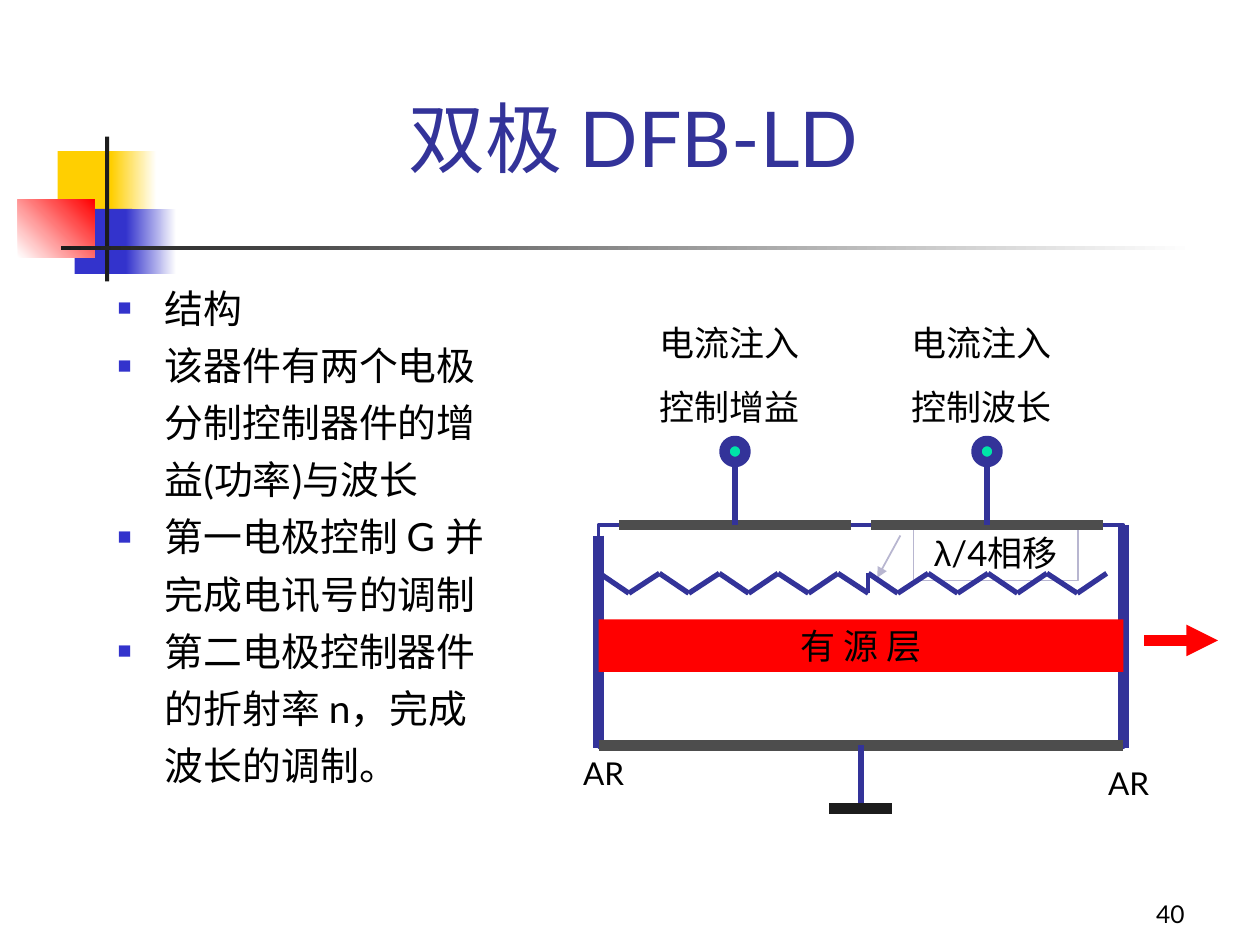
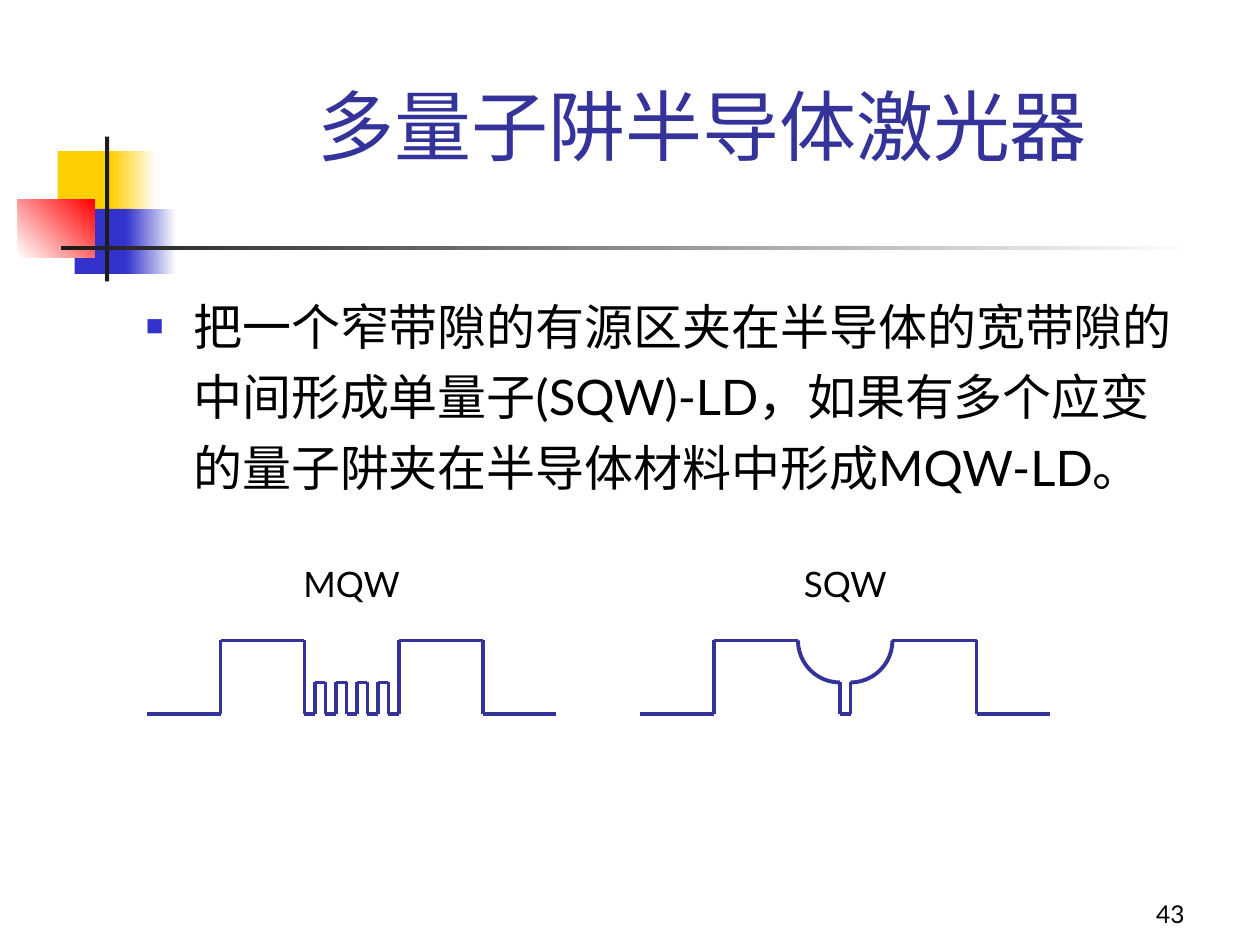
from lxml import etree
from pptx import Presentation
from pptx.dml.color import RGBColor
from pptx.enum.shapes import MSO_CONNECTOR, MSO_SHAPE
from pptx.enum.text import MSO_ANCHOR, MSO_AUTO_SIZE, PP_ALIGN
from pptx.oxml.ns import qn
from pptx.util import Pt

RECT, OVAL, ARC = MSO_SHAPE.RECTANGLE, MSO_SHAPE.OVAL, MSO_SHAPE.ARC
CALLOUT = MSO_SHAPE.LINE_CALLOUT_1
STRAIGHT = MSO_CONNECTOR.STRAIGHT
LEFT, CENTER, RIGHT = PP_ALIGN.LEFT, PP_ALIGN.CENTER, PP_ALIGN.RIGHT
TOP, BOTTOM = MSO_ANCHOR.TOP, MSO_ANCHOR.BOTTOM
NO_FIT = MSO_AUTO_SIZE.NONE

PX = 7620  # EMU per px, 120 px to the inch


class Theme:
    font, greek = "Lato", "Arial"
    title, label, facet, number = 44, 20, 18, 14
    ink, navy, blue = "000000", "333399", "3333CC"
    yellow, red, white = "FFCF01", "FF0000", "FFFFFF"
    dark, metal, callout, pin = "1C1C1C", "4D4D4D", "B8B6D0", "00E4A8"


def add_run(p, text, size, color=Theme.ink, font=Theme.font):
    r = p.add_run()
    r.text = text
    r.font.name = font
    r.font.size = Pt(size)
    r.font.color.rgb = RGBColor.from_string(color)


def add_line(s, x1, y1, x2, y2, width=2.25, color=Theme.navy):
    c = s.shapes.add_connector(STRAIGHT, x1 * PX, y1 * PX, x2 * PX, y2 * PX)
    c.line.width = Pt(width)
    c.line.color.rgb = RGBColor.from_string(color)
    etree.SubElement(c.element.spPr, qn("a:effectLst"))
    return c


prs = Presentation()
prs.slide_width, prs.slide_height = 1200 * PX, 900 * PX

# Title, list and page number of each slide; list rows are (bulleted, text)
pages = [
    dict(
        title="双极 DFB-LD", title_box=(367, 80, 473, 100), align=CENTER,
        body_box=(100, 265, 404, 540), size=22.2, before=6, spacing=1.0, number="40",
        rows=[
            (True, "结构"),
            (True, "该器件有两个电极"),
            (False, "分制控制器件的增"),
            (False, "益(功率)与波长"),
            (True, "第一电极控制 G 并"),
            (False, "完成电讯号的调制"),
            (True, "第二电极控制器件"),
            (False, "的折射率 n，完成"),
            (False, "波长的调制。"),
        ],
    ),
    dict(
        title="多量子阱半导体激光器", title_box=(290, 80, 760, 89), align=LEFT,
        body_box=(127, 265, 1020, 260), size=28, before=7, spacing=1.2, number="43",
        rows=[(True, "把一个窄带隙的有源区夹在半导体的宽带隙的中间形成单量子(SQW)-LD，"
                     "如果有多个应变的量子阱夹在半导体材料中形成MQW-LD。")],
    ),
]

for page in pages:
    s = prs.slides.add_slide(prs.slide_layouts[1])
    title, body = s.placeholders
    for sp, box in ((title, page["title_box"]), (body, page["body_box"])):
        sp.left, sp.top, sp.width, sp.height = (v * PX for v in box)
        sp.text_frame.auto_size = NO_FIT
        sp.text_frame.word_wrap = True
    title.text_frame.vertical_anchor = BOTTOM
    p = title.text_frame.paragraphs[0]
    p.alignment = page["align"]
    add_run(p, page["title"], Theme.title, Theme.navy)

    tf = body.text_frame
    tf.vertical_anchor = TOP
    for i, (bulleted, text) in enumerate(page["rows"]):
        p = tf.add_paragraph() if i else tf.paragraphs[0]
        pPr = p._p.get_or_add_pPr()
        pPr.set("marL", str(45 * PX))
        pPr.set("indent", str(-45 * PX if bulleted else 0))
        if bulleted:
            color = etree.SubElement(pPr, qn("a:buClr"))
            etree.SubElement(color, qn("a:srgbClr"), val=Theme.blue)
            etree.SubElement(pPr, qn("a:buSzPct"), val="60000")
            etree.SubElement(pPr, qn("a:buFont"), typeface=Theme.greek)
            etree.SubElement(pPr, qn("a:buChar"), char="■")
        else:
            etree.SubElement(pPr, qn("a:buNone"))
        p.alignment = LEFT
        p.space_before = Pt(page["before"] if i else 0)
        p.line_spacing = page["spacing"]
        add_run(p, text, page["size"])

dfb, wells = prs.slides

# Corner squares and crossed bars, moved to the master for every slide
decor = [
    ((55, 144, 58, 62), [Theme.yellow], 0),
    ((106, 144, 43, 62), [Theme.yellow, Theme.white], 0),
    ((71, 199, 55, 62), [Theme.blue], 0),
    ((120, 199, 48, 62), [Theme.blue, Theme.white], 0),
    ((17, 190, 73, 55), [Theme.white, Theme.red], 45),
    ((100, 130, 4, 138), [Theme.dark], 0),
    ((58, 234, 1080, 4), [Theme.dark, Theme.white], 0),
]
for i, (box, colors, angle) in enumerate(decor):
    sp = dfb.shapes.add_shape(RECT, *(v * PX for v in box))
    sp.shadow.inherit = False
    sp.line.fill.background()
    if len(colors) == 1:
        sp.fill.solid()
        sp.fill.fore_color.rgb = RGBColor.from_string(colors[0])
    else:
        sp.fill.gradient()
        sp.fill.gradient_angle = angle
        for stop, color in zip(sp.fill.gradient_stops, colors):
            stop.color.rgb = RGBColor.from_string(color)
    sp.element.nvSpPr.cNvPr.set("id", str(100 + i))
    prs.slide_master.shapes.element.append(sp.element)

# Laser body with its two coated facets
frame = dfb.shapes.add_shape(RECT, 570 * PX, 500 * PX, 500 * PX, 212 * PX)
frame.shadow.inherit = False
frame.fill.background()
frame.line.color.rgb = RGBColor.from_string(Theme.navy)
frame.line.width = Pt(2.25)
add_line(dfb, 570, 510, 570, 712, 6)
add_line(dfb, 1070, 500, 1070, 712, 6)

# Active layer
layer = dfb.shapes.add_shape(RECT, 570 * PX, 590 * PX, 500 * PX, 50 * PX)
layer.shadow.inherit = False
layer.fill.solid()
layer.fill.fore_color.rgb = RGBColor.from_string(Theme.red)
layer.line.fill.background()
layer.text_frame.word_wrap = False
p = layer.text_frame.paragraphs[0]
p.alignment = CENTER
add_run(p, "有 源 层", Theme.label)

# Phase shift callout
note = dfb.shapes.add_shape(CALLOUT, 870 * PX, 500 * PX, 157 * PX, 53 * PX)
for i, value in enumerate((0.19, -0.08, 0.95, -0.22)):
    note.adjustments[i] = value
note.shadow.inherit = False
note.fill.background()
note.line.color.rgb = RGBColor.from_string(Theme.callout)
note.line.width = Pt(1)
p = note.text_frame.paragraphs[0]
p.alignment = CENTER
add_run(p, "λ", Theme.label, font=Theme.greek)
add_run(p, "/4相移", Theme.label)

# Ground electrode, then the two top electrodes with their pins
add_line(dfb, 570, 710, 1070, 710, 6, Theme.metal)
add_line(dfb, 820, 710, 820, 770, 3)
add_line(dfb, 790, 770, 850, 770, 6, Theme.dark)
for x1, x2, x in ((590, 810, 700), (810 + 20, 1050, 940)):
    add_line(dfb, x1, 500, x2, 500, 6, Theme.metal)
    add_line(dfb, x, 440, x, 500, 3)
    pin = dfb.shapes.add_shape(OVAL, (x - 10) * PX, 420 * PX, 20 * PX, 20 * PX)
    pin.shadow.inherit = False
    pin.fill.solid()
    pin.fill.fore_color.rgb = RGBColor.from_string(Theme.pin)
    pin.line.color.rgb = RGBColor.from_string(Theme.navy)
    pin.line.width = Pt(6)

# Light output; it and the callout end in an arrowhead
beam = add_line(dfb, 1090, 610, 1160, 610, 6, Theme.red)
for sp in (note, beam):
    etree.SubElement(sp.element.spPr.find(qn("a:ln")), qn("a:tailEnd"), type="triangle")

# Grating: two zigzags that both start at a crest, joined by the phase step
for start, teeth in ((571, 9), (827, 8)):
    points = [(start + round(28.4 * i), 565 if i % 2 else 546) for i in range(teeth + 1)]
    for a, b in zip(points, points[1:]):
        add_line(dfb, *a, *b, 3)
add_line(dfb, 827, 546, 827, 565)

# Band profiles of the multiple and the single quantum well
mqw = [(140, 680), (210, 680), (210, 610), (290, 610), (290, 680)]
for x in range(300, 380, 20):
    mqw += [(x, 680), (x, 650), (x + 10, 650), (x + 10, 680)]
mqw += [(380, 680), (380, 610), (460, 610), (460, 680), (530, 680)]
sqw_left = [(610, 680), (680, 680), (680, 610), (760, 610)]
sqw_well = [(800, 650), (800, 680), (810, 680), (810, 650)]
sqw_right = [(850, 610), (930, 610), (930, 680), (1000, 680)]
for points in (mqw, sqw_left, sqw_well, sqw_right):
    for a, b in zip(points, points[1:]):
        add_line(wells, *a, *b)

# Rounded shoulders of the single well, angles in 60000ths over 100000
for x, start, end in ((760, 54, 108), (770, 0, 54)):
    arc = wells.shapes.add_shape(ARC, x * PX, 570 * PX, 80 * PX, 80 * PX)
    arc.adjustments[0], arc.adjustments[1] = start, end
    arc.shadow.inherit = False
    arc.fill.background()
    arc.line.color.rgb = RGBColor.from_string(Theme.navy)
    arc.line.width = Pt(2.25)

# Labels and page numbers
labels = [
    (dfb, (520, 712, 110, 48), ["AR"], Theme.facet),
    (dfb, (1020, 722, 110, 48), ["AR"], Theme.facet),
    (dfb, (610, 300, 170, 113), ["电流注入", "控制增益"], Theme.label),
    (dfb, (850, 300, 170, 113), ["电流注入", "控制波长"], Theme.label),
    (wells, (230, 530, 210, 53), ["MQW"], Theme.label),
    (wells, (700, 530, 210, 53), ["SQW"], Theme.label),
]
for s, page in zip(prs.slides, pages):
    labels.append((s, (890, 830, 250, 60), [page["number"]], Theme.number))
for s, box, rows, size in labels:
    is_number = size == Theme.number
    tf = s.shapes.add_textbox(*(v * PX for v in box)).text_frame
    tf.word_wrap = True
    tf.vertical_anchor = BOTTOM if is_number else TOP
    for i, text in enumerate(rows):
        p = tf.add_paragraph() if i else tf.paragraphs[0]
        p.alignment = RIGHT if is_number else CENTER
        p.space_before = Pt(12.5 if i else 0)
        add_run(p, text, size)

prs.save("out.pptx")
